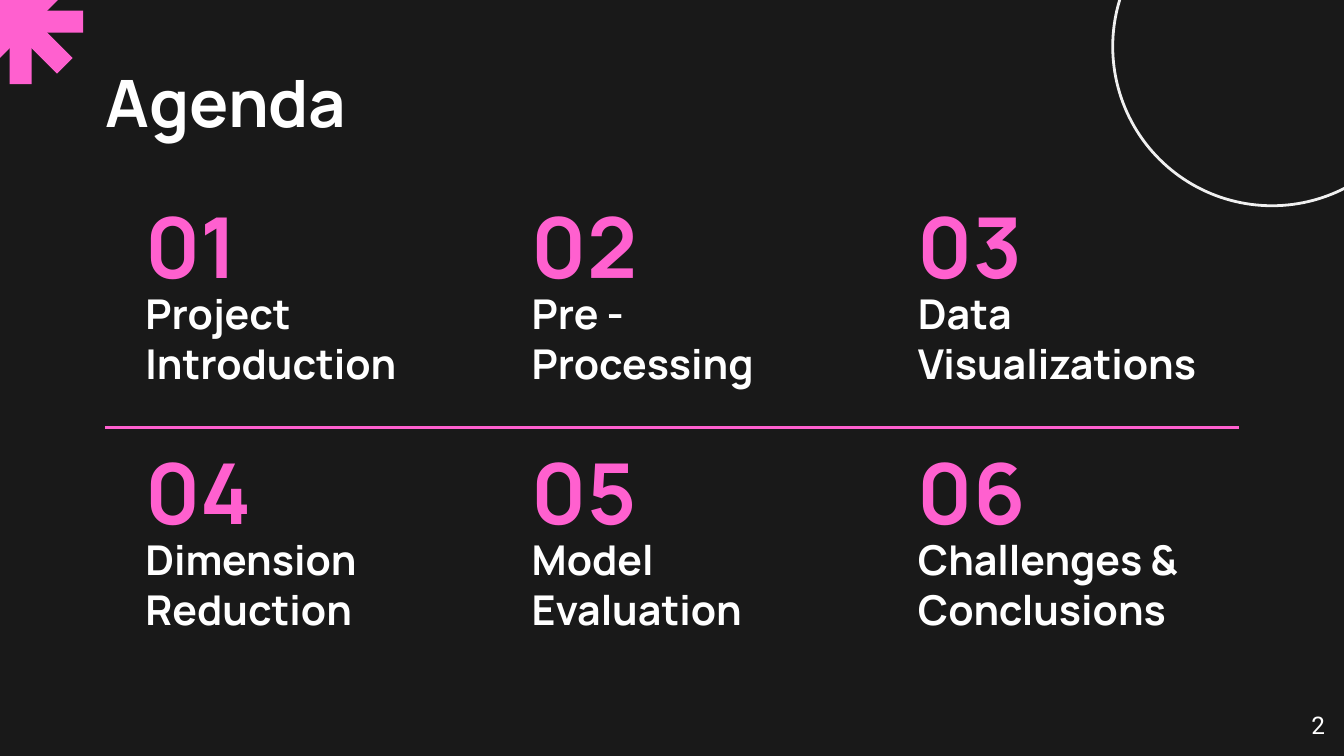
from dataclasses import dataclass

from lxml import etree
from pptx import Presentation
from pptx import util as u
from pptx.dml.color import RGBColor
from pptx.enum import shapes, text
from pptx.oxml.ns import qn


@dataclass(frozen=True)
class Theme:
    background: str = "191919"
    accent: str = "FF60CF"
    white: str = "FFFFFF"
    ring: str = "F0F0F0"
    heading_font: str = "Manrope"
    number_font: str = "Roboto"
    title_size: int = 35
    index_size: int = 45
    topic_size: int = 22
    page_size: int = 13
    line_width: float = 1.5


class AgendaSlide:
    def __init__(self, deck, theme):
        self.theme = theme
        self.slide = deck.slides.add_slide(deck.slide_layouts[6])
        fill = self.slide.background.fill
        fill.solid()
        fill.fore_color.rgb = RGBColor.from_string(theme.background)

    def label(self, words, left, top, width, height, size, color,
              font=None, bold=True, inset=0, align=text.PP_ALIGN.LEFT,
              anchor=text.MSO_ANCHOR.TOP):
        box = self.slide.shapes.add_textbox(
            u.Cm(left), u.Cm(top), u.Cm(width), u.Cm(height))
        frame = box.text_frame
        frame.word_wrap = True
        frame.vertical_anchor = anchor
        frame.margin_left = frame.margin_right = u.Cm(inset)
        frame.margin_top = frame.margin_bottom = u.Cm(inset)
        frame.text = words
        paragraph = frame.paragraphs[0]
        paragraph.alignment = align
        for run in paragraph.runs:
            run.font.name = font or self.theme.heading_font
            run.font.size = u.Pt(size)
            run.font.bold = bold
            run.font.color.rgb = RGBColor.from_string(color)

    def star(self, left, top, size):
        """Draw an eight-armed star from two crosses, one turned by 45 degrees."""
        for angle in (0, 45):
            cross = self.slide.shapes.add_shape(
                shapes.MSO_SHAPE.MATH_MULTIPLY,
                u.Cm(left), u.Cm(top), u.Cm(size), u.Cm(size))
            cross.adjustments[0] = 0.13
            cross.rotation = angle
            cross.shadow.inherit = False
            cross.fill.solid()
            cross.fill.fore_color.rgb = RGBColor.from_string(self.theme.accent)
            cross.line.fill.background()

    def ring(self, left, top, size):
        circle = self.slide.shapes.add_shape(
            shapes.MSO_SHAPE.OVAL,
            u.Cm(left), u.Cm(top), u.Cm(size), u.Cm(size))
        circle.shadow.inherit = False
        circle.fill.background()
        self.stroke(circle.line, self.theme.ring)

    def divider(self, left, right, y):
        rule = self.slide.shapes.add_connector(
            shapes.MSO_CONNECTOR.STRAIGHT,
            u.Cm(left), u.Cm(y), u.Cm(right), u.Cm(y))
        self.stroke(rule.line, self.theme.accent)
        etree.SubElement(rule._element.spPr, qn("a:effectLst"))

    def stroke(self, line, color):
        line.color.rgb = RGBColor.from_string(color)
        line.width = u.Pt(self.theme.line_width)

    def topic(self, number, name, left, top):
        index_height = 1.65
        self.label(name, left, top + index_height, 5.8, 1.78,
                   self.theme.topic_size, self.theme.white)
        self.label(f"{number:02}", left, top, 3.15, index_height,
                   self.theme.index_size, self.theme.accent,
                   anchor=text.MSO_ANCHOR.MIDDLE)


TOPICS = [
    "Project Introduction", "Pre - Processing", "Data Visualizations",
    "Dimension Reduction", "Model Evaluation", "Challenges & Conclusions",
]
COLUMNS = 3
COLUMN_STEP = 7.3
ROW_STEP = 4.65


def main():
    deck = Presentation()
    deck.slide_width, deck.slide_height = u.Cm(25.4), u.Cm(14.29)
    theme = Theme()
    agenda = AgendaSlide(deck, theme)

    agenda.star(-1.22, -1.2, 3.22)
    agenda.label("Agenda", 2, 1.17, 21.4, 1.27, theme.title_size, theme.white)
    agenda.ring(21.03, -2.13, 6.02)
    for position, name in enumerate(TOPICS):
        row, column = divmod(position, COLUMNS)
        agenda.topic(position + 1, name,
                     2.75 + column * COLUMN_STEP, 3.81 + row * ROW_STEP)
    agenda.divider(1.98, 23.42, 8.08)
    agenda.label("2", 23.77, 13.18, 1.52, 1.09, theme.page_size, theme.white,
                 font=theme.number_font, bold=False, inset=0.25,
                 align=text.PP_ALIGN.RIGHT)

    deck.save("out.pptx")


if __name__ == "__main__":
    main()
